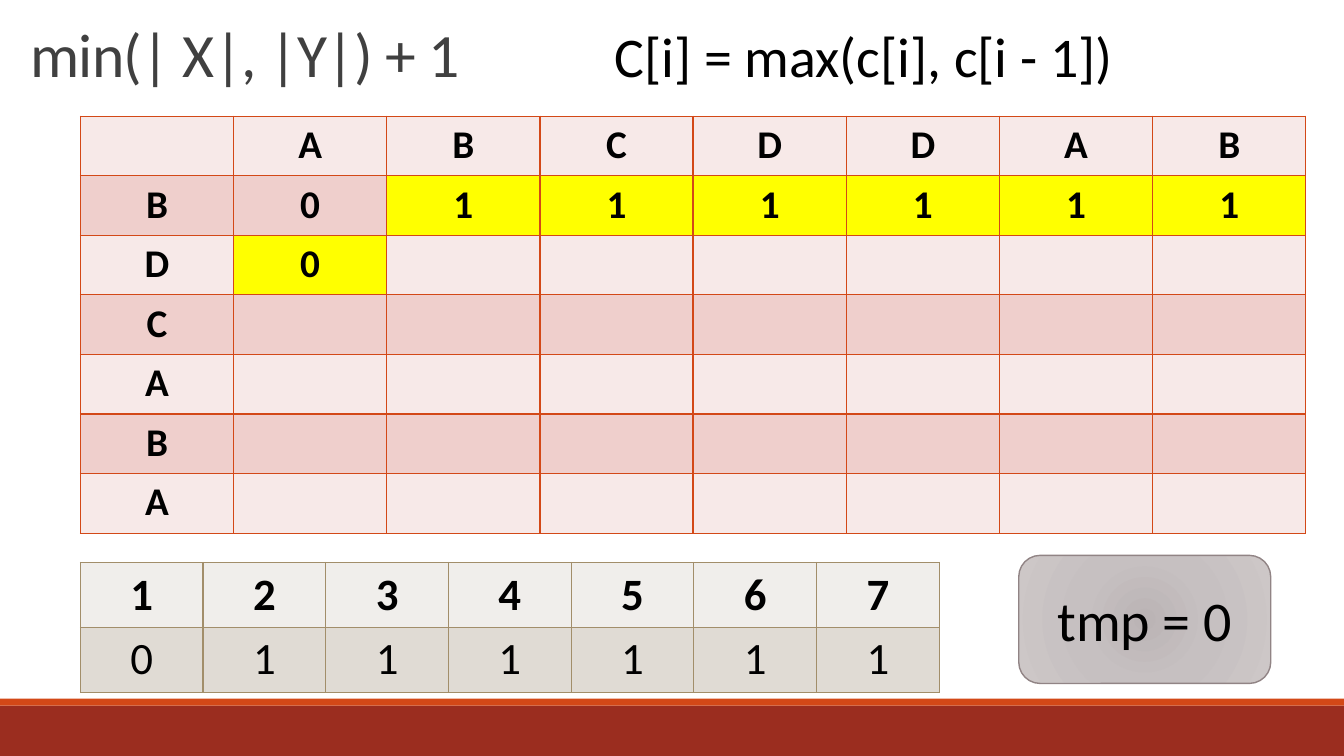
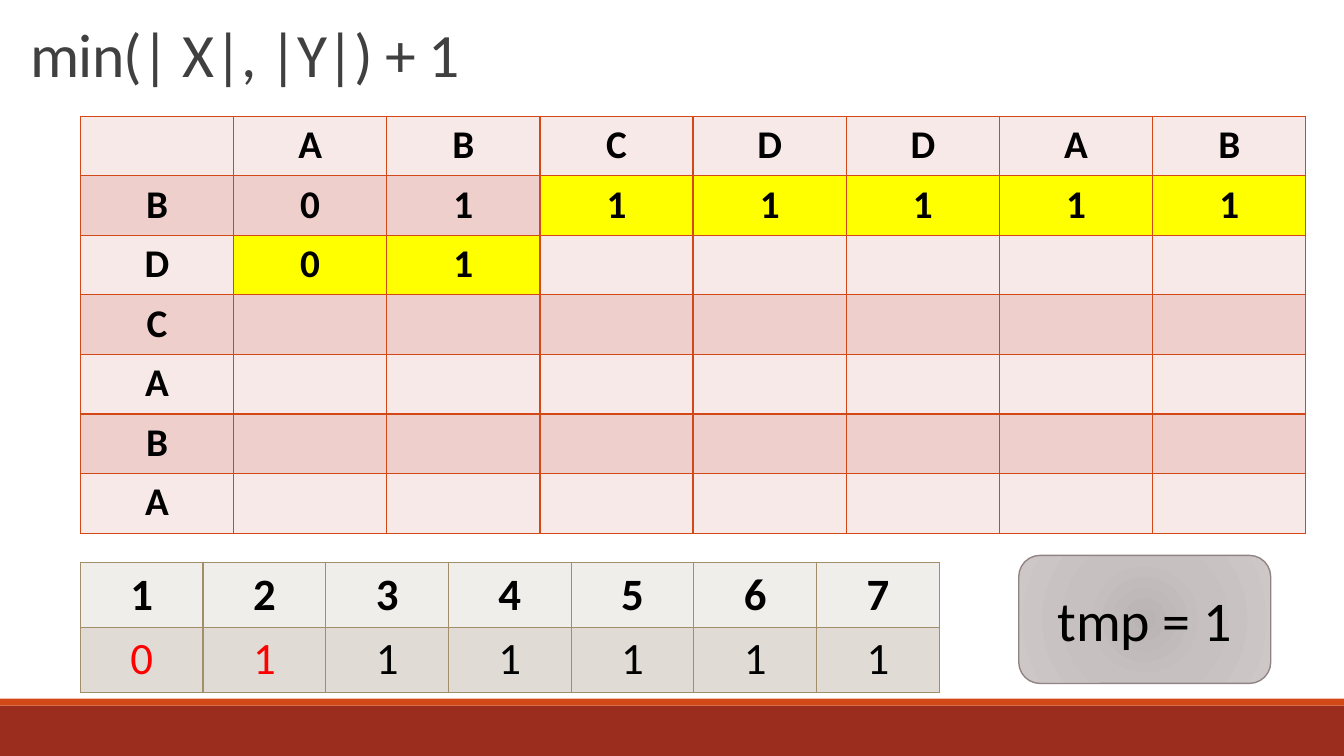
from dataclasses import dataclass
from typing import Callable, NamedTuple

from pptx import Presentation
from pptx.dml.color import RGBColor
from pptx.enum.shapes import MSO_SHAPE as Preset
from pptx.enum.text import MSO_ANCHOR as Anchor, MSO_AUTO_SIZE as AutoSize, PP_ALIGN as Align
from pptx.oxml import parse_xml
from pptx.oxml.ns import nsdecls, qn
from pptx.util import Pt

FONT = "Calibri"
BLACK = RGBColor(0x00, 0x00, 0x00)
RED = RGBColor(0xFF, 0x00, 0x00)
YELLOW = RGBColor(0xFF, 0xFF, 0x00)
TITLE_GREY = RGBColor(0x40, 0x40, 0x40)
BAND_DARK = RGBColor(0x9B, 0x2D, 0x1F)
ORANGE = RGBColor(0xD3, 0x48, 0x17)
PINK_LIGHT = RGBColor(0xF7, 0xE9, 0xE8)
PINK_DARK = RGBColor(0xEF, 0xCF, 0xCC)
SAND_LIGHT = RGBColor(0xF0, 0xEE, 0xEB)
SAND_DARK = RGBColor(0xE0, 0xDB, 0xD4)
SAND_LINE = RGBColor(0xA2, 0x8E, 0x6A)
BOX_LINE = RGBColor(0x91, 0x84, 0x85)
BOX_STOPS = (
    (0, RGBColor(0xBB, 0xB4, 0xB5)),
    (45, RGBColor(0xC6, 0xC0, 0xC1)),
    (100, RGBColor(0xCD, 0xC7, 0xC7)),
)

SLIDE_WIDTH, SLIDE_HEIGHT = 960, 540
TITLE = " min(| X|, |Y|) + 1"
FORMULA = "C[i] = max(c[i], c[i - 1])"
COLUMN_LETTERS = "ABCDDAB"
ROW_LETTERS = "BDCABA"
FIRST_ROW = "0111111"
SECOND_ROW = "01"


class Box(NamedTuple):
    left: float
    top: float
    width: float
    height: float

    def lengths(self) -> list:
        return [Pt(value) for value in self]


class Cell(NamedTuple):
    text: str
    fill: RGBColor
    color: RGBColor = BLACK
    bold: bool = True


@dataclass(frozen=True)
class Step:
    columns_done: int
    red_count: int
    tmp: int
    formula: str = ""


@dataclass(frozen=True)
class Grid:
    box: Box
    rows: int
    columns: int
    border: RGBColor
    size: float


BANDS = (
    (Box(0, 504, SLIDE_WIDTH, 36), BAND_DARK),
    (Box(0, 499, SLIDE_WIDTH, 5), ORANGE),
)
TITLE_BOX = Box(5, 4.3, 736, 63.4)
FORMULA_BOX = Box(432, 11.5, 425, 55.5)
TMP_BOX = Box(727.7, 396.7, 180, 91.5)
LETTER_GRID = Grid(Box(57.4, 83, 875.4, 298), len(ROW_LETTERS) + 1, len(COLUMN_LETTERS) + 1, ORANGE, 28)
COUNT_GRID = Grid(Box(57.4, 401.7, 613.6, 92.6), 2, len(COLUMN_LETTERS), SAND_LINE, 32)
STEPS = (
    Step(columns_done=1, red_count=0, tmp=0, formula=FORMULA),
    Step(columns_done=2, red_count=2, tmp=1),
)


def write(paragraph, text: str, size: float, color: RGBColor = BLACK,
          bold: bool = False, align: Align = Align.LEFT):
    run = paragraph.add_run()
    run.text = text
    paragraph.alignment = align
    for name, value in {"name": FONT, "size": Pt(size), "bold": bold}.items():
        setattr(run.font, name, value)
    run.font.color.rgb = color
    return run


def add_borders(cell, color: RGBColor) -> None:
    properties = cell._tc.get_or_add_tcPr()
    for side in "LRTB":
        properties.append(parse_xml(
            f'<a:ln{side} {nsdecls("a")} w="{Pt(1)}"><a:solidFill>'
            f'<a:srgbClr val="{color}"/></a:solidFill></a:ln{side}>'))


def add_grid(slide, grid: Grid, content: Callable[[int, int], Cell]) -> None:
    table = slide.shapes.add_table(grid.rows, grid.columns, *grid.box.lengths()).table
    table.first_row = table.horz_banding = False
    for column in table.columns:
        column.width = Pt(grid.box.width / grid.columns)
    for row in table.rows:
        row.height = Pt(grid.box.height / grid.rows)
    for index, cell in enumerate(table.iter_cells()):
        text, fill, color, bold = content(*divmod(index, grid.columns))
        add_borders(cell, grid.border)
        cell.fill.solid()
        cell.fill.fore_color.rgb = fill
        if text:
            write(cell.text_frame.paragraphs[0], text, grid.size, color, bold, Align.CENTER)


def letter_cell(step: Step, row: int, column: int) -> Cell:
    """Highlight the old row's remaining columns and the new row's finished ones."""
    done = step.columns_done
    rows = [" " + COLUMN_LETTERS, ROW_LETTERS[0] + FIRST_ROW, ROW_LETTERS[1] + SECOND_ROW[:done]]
    rows += ROW_LETTERS[2:]
    text = rows[row][column:column + 1].strip()
    highlighted = (row == 1 and column > done) or (row == 2 and 1 <= column <= done)
    return Cell(text, YELLOW if highlighted else (PINK_LIGHT, PINK_DARK)[row % 2])


def count_cell(step: Step, row: int, column: int) -> Cell:
    if row == 0:
        return Cell(str(column + 1), SAND_LIGHT)
    color = RED if column < step.red_count else BLACK
    return Cell(FIRST_ROW[column], SAND_DARK, color, False)


def add_bands(slide) -> None:
    for box, color in BANDS:
        band = slide.shapes.add_shape(Preset.RECTANGLE, *box.lengths())
        band.shadow.inherit = False
        band.fill.solid()
        band.fill.fore_color.rgb = color
        band.line.fill.background()


def format_title(title) -> None:
    for name, value in zip(Box._fields, TITLE_BOX.lengths()):
        setattr(title, name, value)
    frame = title.text_frame
    for name, value in {"auto_size": AutoSize.NONE, "word_wrap": True,
                        "vertical_anchor": Anchor.BOTTOM}.items():
        setattr(frame, name, value)
    paragraph = frame.paragraphs[0]
    paragraph.line_spacing = 0.85
    run = write(paragraph, TITLE, 44, TITLE_GREY)
    run.font._element.set("spc", "-50")


def add_tmp_box(slide, value: int) -> None:
    shape = slide.shapes.add_shape(Preset.ROUNDED_RECTANGLE, *TMP_BOX.lengths())
    shape.shadow.inherit = False
    shape.line.color.rgb = BOX_LINE
    shape.line.width = Pt(1)
    shape.fill.background()
    stops = "".join(f'<a:gs pos="{position * 1000}"><a:srgbClr val="{color}"/></a:gs>'
                    for position, color in BOX_STOPS)
    gradient = parse_xml(
        f'<a:gradFill {nsdecls("a")} rotWithShape="1"><a:gsLst>{stops}</a:gsLst>'
        '<a:path path="circle"><a:fillToRect l="100000" t="100000" r="100000" b="100000"/>'
        '</a:path></a:gradFill>')
    properties = shape._element.spPr
    properties.replace(properties.find(qn("a:noFill")), gradient)
    shape.text_frame.vertical_anchor = Anchor.MIDDLE
    write(shape.text_frame.paragraphs[0], f"tmp = {value}", 40, align=Align.CENTER)


def add_formula(slide, text: str) -> None:
    frame = slide.shapes.add_textbox(*FORMULA_BOX.lengths()).text_frame
    frame.word_wrap = True
    write(frame.paragraphs[0], text, 40)


def add_step(presentation, step: Step) -> None:
    slide = presentation.slides.add_slide(presentation.slide_layouts.get_by_name("Title Only"))
    add_bands(slide)
    format_title(slide.shapes.title)
    add_grid(slide, COUNT_GRID, lambda row, column: count_cell(step, row, column))
    add_grid(slide, LETTER_GRID, lambda row, column: letter_cell(step, row, column))
    add_tmp_box(slide, step.tmp)
    if step.formula:
        add_formula(slide, step.formula)


def main() -> None:
    presentation = Presentation()
    presentation.slide_width = Pt(SLIDE_WIDTH)
    presentation.slide_height = Pt(SLIDE_HEIGHT)
    for step in STEPS:
        add_step(presentation, step)
    presentation.save("out.pptx")


if __name__ == "__main__":
    main()
